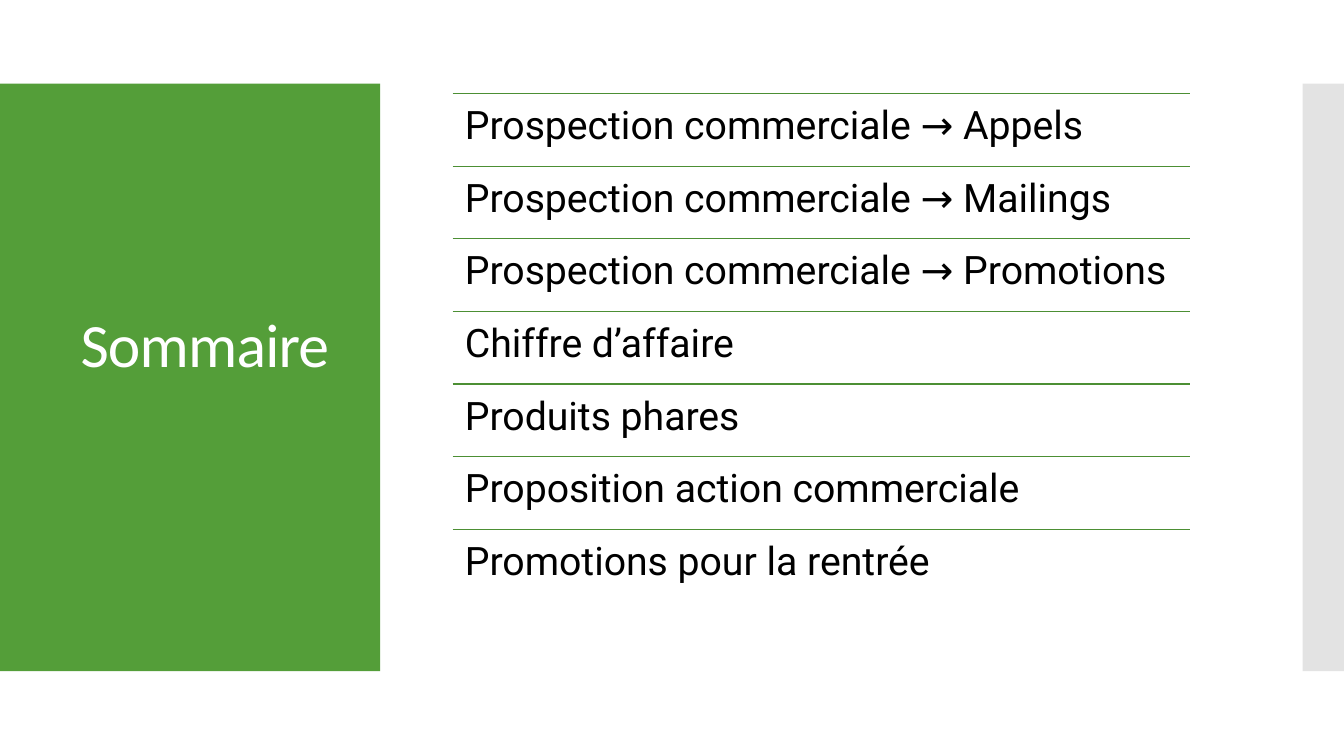
from pptx import Presentation
from pptx import util as u
from pptx.dml.color import RGBColor
from pptx.enum import shapes, text
from pptx.oxml.ns import qn
from lxml import etree

TOPICS = [
    "Prospection commerciale → Appels",
    "Prospection commerciale → Mailings",
    "Prospection commerciale → Promotions",
    "Chiffre d’affaire",
    "Produits phares",
    "Proposition action commerciale",
    "Promotions pour la rentrée",
]


def color(value):
    return RGBColor.from_string(value)


def add_band(page, left, top, width, height, fill, opacity=100):
    band = page.shapes.add_shape(
        shapes.MSO_SHAPE.RECTANGLE,
        u.Inches(left), u.Inches(top), u.Inches(width), u.Inches(height))
    band.shadow.inherit = False
    band.fill.solid()
    band.fill.fore_color.rgb = color(fill)
    band.line.fill.background()
    if opacity < 100:
        tint = band.fill._xPr.find(qn("a:solidFill"))[0]
        etree.SubElement(tint, qn("a:alpha"), val=str(opacity * 1000))


def add_label(page, left, top, width, height, words, font, size, fill,
              anchor, inset):
    box = page.shapes.add_textbox(
        u.Inches(left), u.Inches(top), u.Inches(width), u.Inches(height))
    frame = box.text_frame
    frame.word_wrap = True
    frame.vertical_anchor = anchor
    frame.margin_left = frame.margin_right = u.Inches(inset)
    frame.margin_top = frame.margin_bottom = u.Inches(inset)
    frame.text = words
    para = frame.paragraphs[0]
    para.line_spacing = 0.9
    span = para.runs[0]
    span.font.name = font
    span.font.size = u.Pt(size)
    span.font.color.rgb = color(fill)
    return span


def add_rule(page, left, top, width):
    rule = page.shapes.add_connector(
        shapes.MSO_CONNECTOR.STRAIGHT, u.Inches(left), u.Inches(top),
        u.Inches(left + width), u.Inches(top))
    rule.line.color.rgb = color("4C8F34")
    rule.line.width = u.Pt(0.85)
    etree.SubElement(rule._element.spPr, qn("a:effectLst"))


def add_title_panel(page, left, top, width, height):
    add_band(page, left, top, width, height, "549E39")
    span = add_label(page, left + 0.7, top + 0.61, 3.11, 4.02, "Sommaire",
                     "Calibri", 44, "FFFFFF", text.MSO_ANCHOR.MIDDLE, 0.1)
    # Slightly tightened letter spacing
    span.font._element.set("spc", "-60")


def add_agenda(page, left, top, width, height):
    row_height = height / len(TOPICS)
    for index, topic in enumerate(TOPICS):
        row_top = top + index * row_height
        add_rule(page, left, row_top, width)
        add_label(page, left, row_top, width, row_height, topic,
                  "Roboto", 28, "000000", text.MSO_ANCHOR.TOP, 0.12)


def main():
    deck = Presentation()
    deck.slide_width = u.Inches(13.33)
    deck.slide_height = u.Inches(7.5)
    page = deck.slides.add_slide(deck.slide_layouts[6])

    # Title panel on the left, pale band on the right edge
    add_title_panel(page, 0, 0.83, 3.77, 5.83)
    add_band(page, 12.92, 0.83, 0.41, 5.83, "C8C8C8", opacity=50)

    # Ruled list of topics
    add_agenda(page, 4.49, 0.93, 7.31, 5.04)

    deck.save("out.pptx")


if __name__ == "__main__":
    main()
